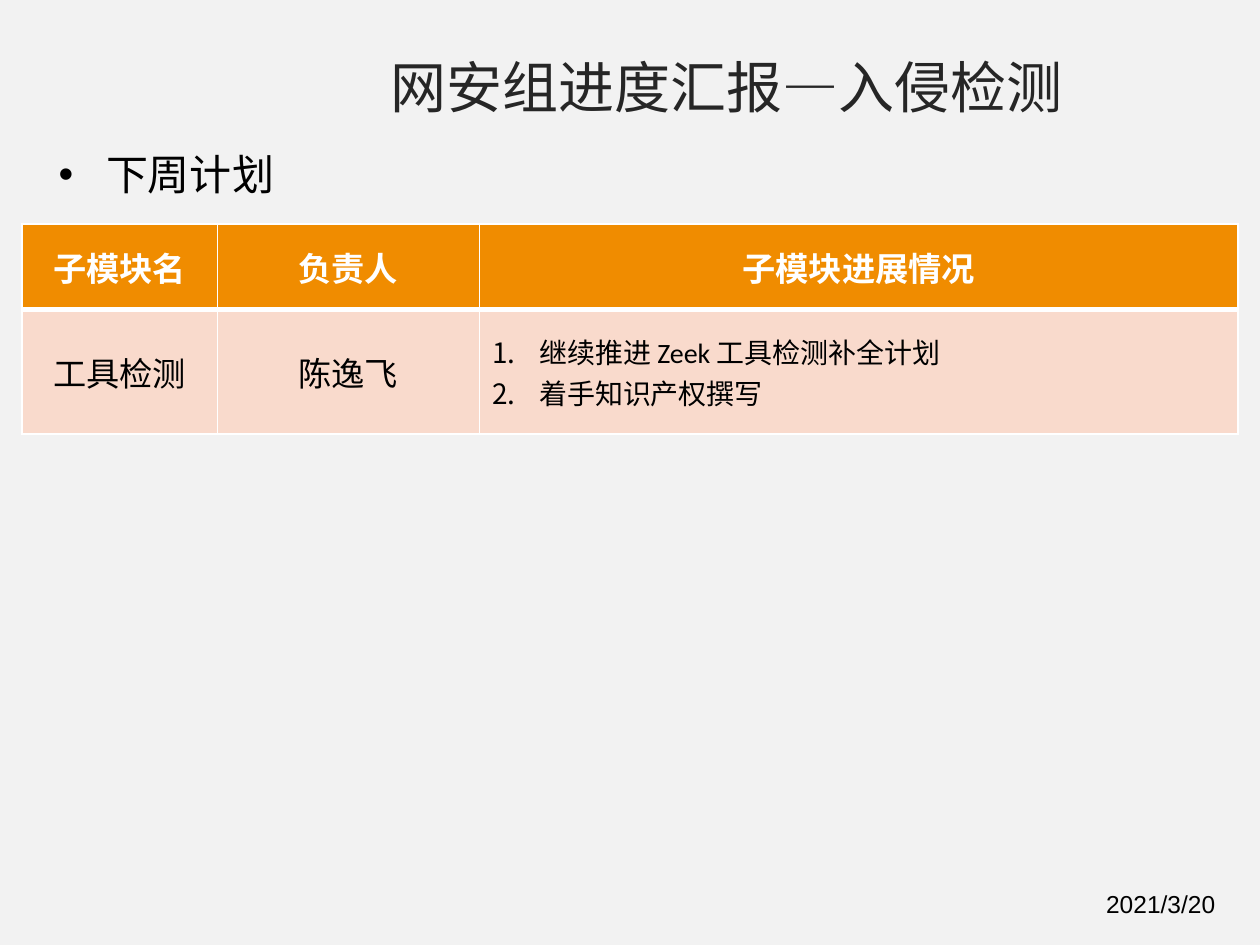
from lxml import etree
from pptx import Presentation
from pptx.dml.color import RGBColor
from pptx.enum import text
from pptx.oxml import ns
from pptx.util import Pt

BACKGROUND = RGBColor(0xF2, 0xF2, 0xF2)
TITLE_GREY = RGBColor(0x26, 0x26, 0x26)
BLACK = RGBColor(0, 0, 0)
WHITE = RGBColor(0xFF, 0xFF, 0xFF)
ORANGE = RGBColor(0xF0, 0x8C, 0x00)
PEACH = RGBColor(0xF9, 0xDA, 0xCC)
CJK_FONT = "Noto Sans CJK SC"
HANGING_INDENT = Pt(27)

HEADERS = ["子模块名", "负责人", "子模块进展情况"]
PLANS = [["工具检测", "陈逸飞", "继续推进 Zeek 工具检测补全计划\n着手知识产权撰写"]]


def add_child(parent, tag, **attributes):
    return etree.SubElement(parent, ns.qn(tag), attributes)


def format_para(para, size, font, color, bold=False):
    """Format every run, with the Chinese font for East Asian characters."""
    for span in para.runs:
        span.font.size = Pt(size)
        span.font.name = font
        span.font.bold = bold
        span.font.color.rgb = color
        latin = span.font._element.find(ns.qn("a:latin"))
        latin.addnext(latin.makeelement(ns.qn("a:ea"), {"typeface": CJK_FONT}))


def add_bullet(para, tag, **attributes):
    properties = para._p.get_or_add_pPr()
    properties.set("marL", str(HANGING_INDENT))
    properties.set("indent", str(-HANGING_INDENT))
    add_child(properties, "a:buFont", typeface="Arial" if tag == "a:buChar" else "+mj-lt")
    add_child(properties, tag, **attributes)


def add_text(page, left, top, width, height, content, size, font, color, wrap=True):
    box = page.shapes.add_textbox(Pt(left), Pt(top), Pt(width), Pt(height))
    box.text_frame.word_wrap = wrap
    box.text_frame.text = content
    para = box.text_frame.paragraphs[0]
    format_para(para, size, font, color)
    return para


def set_borders(cell, top, bottom):
    properties = cell._tc.get_or_add_tcPr()
    for side, width in (("L", 1), ("R", 1), ("T", top), ("B", bottom)):
        line = add_child(properties, f"a:ln{side}", w=str(Pt(width)))
        add_child(add_child(line, "a:solidFill"), "a:srgbClr", val=str(WHITE))


def fill_cell(cell, content, is_header, is_list):
    set_borders(cell, top=1 if is_header else 3, bottom=3 if is_header else 1)
    cell.fill.solid()
    cell.fill.fore_color.rgb = ORANGE if is_header else PEACH
    cell.vertical_anchor = text.MSO_ANCHOR.MIDDLE
    cell.text_frame.text = content
    for para in cell.text_frame.paragraphs:
        if is_list:
            add_bullet(para, "a:buAutoNum", type="arabicPeriod")
        else:
            para.alignment = text.PP_ALIGN.CENTER
        format_para(para, 16 if is_list else 19, "Calibri",
                    WHITE if is_header else BLACK, bold=is_header)


def add_plan_table(page, left, top, column_widths, row_heights):
    rows = [HEADERS] + PLANS
    table = page.shapes.add_table(
        len(rows), len(HEADERS), Pt(left), Pt(top),
        Pt(sum(column_widths)), Pt(sum(row_heights))).table
    table.horz_banding = False
    for column, width in zip(table.columns, column_widths):
        column.width = Pt(width)
    for r, (row, height) in enumerate(zip(rows, row_heights)):
        table.rows[r].height = Pt(height)
        for c, content in enumerate(row):
            is_header = r == 0
            is_list = not is_header and c == len(HEADERS) - 1
            fill_cell(table.cell(r, c), content, is_header, is_list)


def build_plan_slide(deck):
    page = deck.slides.add_slide(deck.slide_layouts[6])
    page.background.fill.solid()
    page.background.fill.fore_color.rgb = BACKGROUND
    add_text(page, 625, 504.5, 97, 24.5, "2021/3/20", 14, "Arial", BLACK)
    add_text(page, 216, 26.5, 404.5, 46, "网安组进度汇报—入侵检测",
             32, CJK_FONT, TITLE_GREY, wrap=False)
    heading = add_text(page, 26.5, 81.5, 196.5, 47, "下周计划", 24, CJK_FONT, BLACK)
    add_bullet(heading, "a:buChar", char="•")
    add_plan_table(page, 12.5, 128, [111.75, 149.75, 433.5], [49, 71])


def main():
    deck = Presentation()
    deck.slide_width, deck.slide_height = Pt(720), Pt(540)
    build_plan_slide(deck)
    deck.save("out.pptx")


if __name__ == "__main__":
    main()
